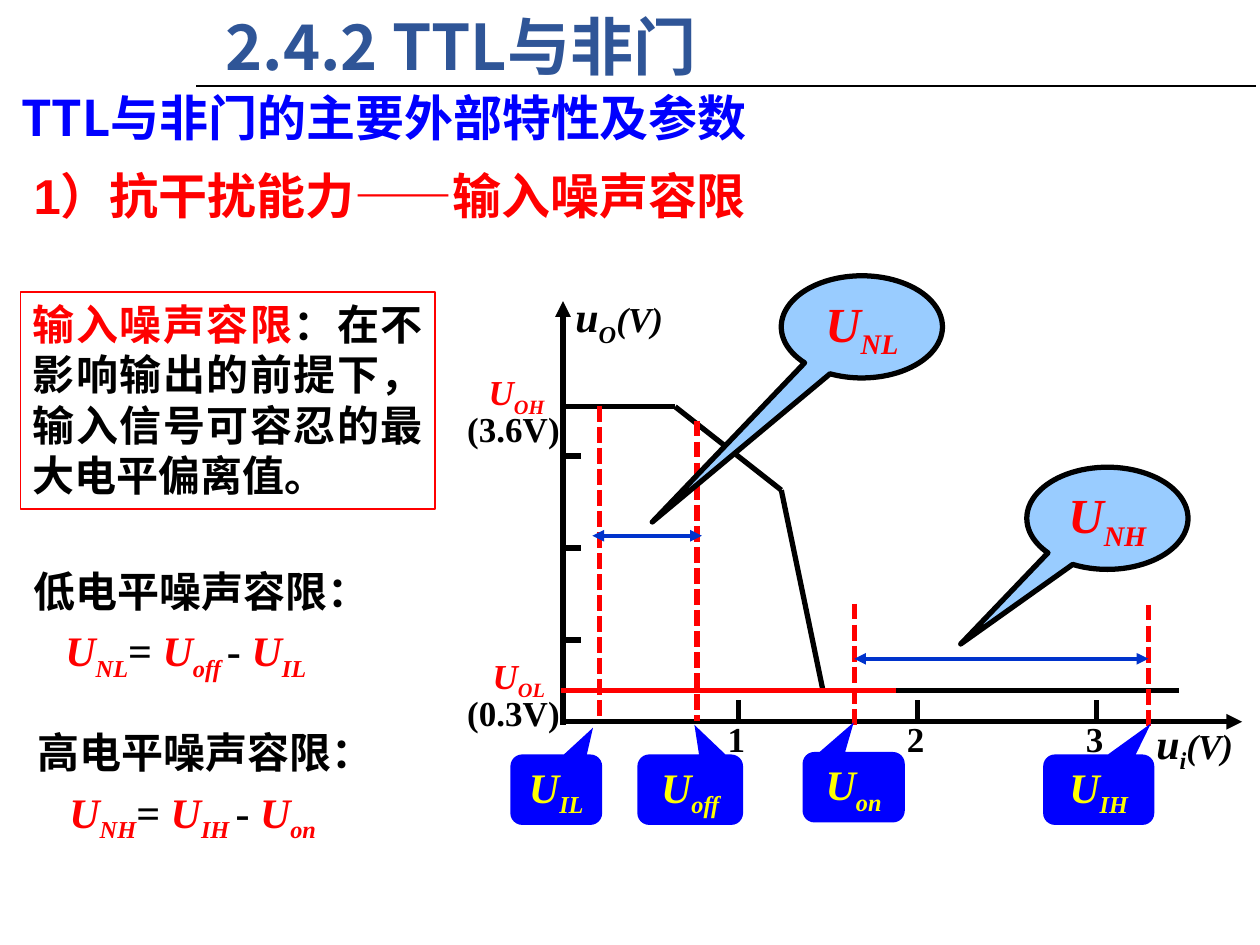
from lxml import etree
from pptx import Presentation
from pptx.dml.color import RGBColor
from pptx.enum.dml import MSO_LINE
from pptx.enum.shapes import MSO_CONNECTOR, MSO_SHAPE
from pptx.enum.text import MSO_ANCHOR, PP_ALIGN
from pptx.oxml.ns import qn
from pptx.util import Cm, Pt

BLACK = RGBColor(0x00, 0x00, 0x00)
RED = RGBColor(0xFF, 0x00, 0x00)
BLUE = RGBColor(0x00, 0x00, 0xFF)
ARROW_BLUE = RGBColor(0x00, 0x33, 0xCC)
TITLE_BLUE = RGBColor(0x2F, 0x55, 0x97)
LIGHT_BLUE = RGBColor(0x99, 0xCC, 0xFF)
YELLOW = RGBColor(0xFF, 0xFF, 0x00)
SANS = "Noto Sans CJK SC"
SERIF = "Times New Roman"
STRAIGHT = MSO_CONNECTOR.STRAIGHT
DOTTED = MSO_LINE.SQUARE_DOT
TOP, MIDDLE = MSO_ANCHOR.TOP, MSO_ANCHOR.MIDDLE
LEFT, CENTER, JUSTIFY = PP_ALIGN.LEFT, PP_ALIGN.CENTER, PP_ALIGN.JUSTIFY


def write(paragraph, pieces, size, font=SERIF, align=LEFT):
    """Add (text, colour, italic, size) pieces; text between underscores is subscript."""
    paragraph.alignment = align
    paragraph.font.name = font
    paragraph.font.size = Pt(size)
    paragraph.font.bold = True
    for text, color, italic, piece_size in pieces:
        for index, part in enumerate(text.split("_")):
            if not part:
                continue
            run = paragraph.add_run()
            run.text = part
            run.font.color.rgb = color
            if italic:
                run.font.italic = True
            if piece_size:
                run.font.size = Pt(piece_size)
            if index % 2:
                run.font._element.set("baseline", "-25000")


def add_line(x1, y1, x2, y2, color=BLACK, width=3, dash=None, arrows=()):
    line = slide.shapes.add_connector(STRAIGHT, Cm(x1), Cm(y1), Cm(x2), Cm(y2))
    line.line.color.rgb = color
    line.line.width = Pt(width)
    if dash:
        line.line.dash_style = dash
    for end in arrows:
        etree.SubElement(line.line._get_or_add_ln(), qn(f"a:{end}"), type="triangle")
    etree.SubElement(line._element.spPr, qn("a:effectLst"))


presentation = Presentation()
presentation.slide_width = Cm(25.4)
presentation.slide_height = Cm(19.05)
slide = presentation.slides.add_slide(presentation.slide_layouts[5])

# Headings
add_line(3.96, 1.73, 25.32, 1.73, width=1.25)
title = slide.shapes.title
title.left, title.top, title.width, title.height = Cm(4.29), Cm(0.03), Cm(21.03), Cm(1.8)
title.text_frame.vertical_anchor = TOP
write(title.text_frame.paragraphs[0], [("2.4.2 TTL与非门", TITLE_BLUE, False, None)], 36, SANS)

for left, top, width, height, text, color, font, anchor in [
    (0.18, 1.63, 23.62, 1.45, "TTL与非门的主要外部特性及参数", BLUE, SANS, TOP),
    (0.43, 3.1, 16.18, 1.68, "1）抗干扰能力——输入噪声容限", RED, "Arial", MIDDLE),
]:
    box = slide.shapes.add_textbox(Cm(left), Cm(top), Cm(width), Cm(height))
    box.text_frame.word_wrap = True
    box.text_frame.vertical_anchor = anchor
    write(box.text_frame.paragraphs[0], [(text, color, False, None)], 28, font)

# Axes with ticks
AXIS_X, AXIS_Y = 11.35, 14.55
add_line(AXIS_X, 14.61, AXIS_X, 6.07, arrows=["tailEnd"])
add_line(11.3, AXIS_Y, 25.04, AXIS_Y, arrows=["tailEnd"])
labels = [
    (AXIS_X, 5.74, 2.74, [("u_O_", BLACK, True, 24), ("(V)", BLACK, True, None)]),
    (23.06, 14.33, 2.16, [("u_i_", BLACK, True, 24), ("(V)", BLACK, True, None)]),
    (9.6, 7.34, 1.9, [("U_OH_", RED, True, None)]),
    (9.68, 13.06, 1.83, [("U_OL_", RED, True, None)]),
    (9.17, 8.1, 2.74, [("(3.6V)", BLACK, False, None)]),
    (9.17, 13.82, 2.54, [("(0.3V)", BLACK, False, None)]),
]
for step in range(3):
    tick_y = 12.9 - 1.855 * step
    tick_x = 14.88 + 3.61 * step
    add_line(AXIS_X, tick_y, AXIS_X + 0.36, tick_y)
    add_line(tick_x, AXIS_Y, tick_x, AXIS_Y - 0.43)
    labels.append((tick_x - 0.46, 14.33, 1.12, [(str(step + 1), BLACK, False, None)]))

for left, top, width, pieces in labels:
    box = slide.shapes.add_textbox(Cm(left), Cm(top), Cm(width), Cm(1.09))
    box.text_frame.word_wrap = True
    write(box.text_frame.paragraphs[0], pieces, 20)

# Transfer curve and low output level
curve = [(11.3, 8.2), (13.61, 8.2), (15.75, 9.88), (16.59, 13.92), (23.77, 13.92)]
for start, end in zip(curve, curve[1:]):
    add_line(*start, *end)
add_line(11.3, 13.92, 18.06, 13.92, RED)

# Input levels
for x, top, bottom in [(12.09, 8.18, 14.53), (14.05, 8.48, 14.53),
                       (17.22, 12.17, 14.63), (23.15, 12.19, 14.66)]:
    add_line(x, top, x, bottom, RED, dash=DOTTED)

# Noise margins
for start, end, y in [(11.94, 14.15, 10.8), (17.22, 23.15, 13.28)]:
    add_line(start, y, end, y, ARROW_BLUE, 2.25, arrows=["headEnd", "tailEnd"])

ROUND, ELLIPSE = MSO_SHAPE.ROUNDED_RECTANGULAR_CALLOUT, MSO_SHAPE.OVAL_CALLOUT
for kind, left, top, width, height, tip, text in [
    (ROUND, 10.29, 15.21, 1.85, 1.42, (0.4, -0.88), "U_IL_"),
    (ROUND, 12.85, 15.21, 2.13, 1.42, (0.04, -0.92), "U_off_"),
    (ROUND, 16.18, 15.16, 2.06, 1.42, (0, -0.92), "U_on_"),
    (ROUND, 21.03, 15.21, 2.24, 1.42, (0.47, -0.94), "U_IH_"),
    (ELLIPSE, 15.75, 5.56, 3.25, 2.06, (-1.3, 1.91), "U_NL_"),
    (ELLIPSE, 20.7, 9.42, 3.25, 2.06, (-0.91, 1.23), "U_NH_"),
]:
    callout = slide.shapes.add_shape(kind, Cm(left), Cm(top), Cm(width), Cm(height))
    callout.shadow.inherit = False
    callout.adjustments[0], callout.adjustments[1] = tip
    callout.fill.solid()
    callout.text_frame.word_wrap = True
    callout.text_frame.vertical_anchor = MIDDLE
    if kind == ROUND:
        callout.fill.fore_color.rgb = BLUE
        callout.line.fill.background()
        color, size = YELLOW, 24
    else:
        callout.fill.fore_color.rgb = LIGHT_BLUE
        callout.line.color.rgb = BLACK
        callout.line.width = Pt(3)
        color, size = RED, 28
    write(callout.text_frame.paragraphs[0], [(text, color, True, None)], size, align=CENTER)

# Definition and formulas
definition = slide.shapes.add_shape(MSO_SHAPE.RECTANGLE, Cm(0.41), Cm(5.89), Cm(8.36), Cm(4.37))
definition.shadow.inherit = False
definition.fill.background()
definition.line.color.rgb = RED
definition.line.width = Pt(0.75)
definition.text_frame.word_wrap = True
definition.text_frame.vertical_anchor = TOP
write(definition.text_frame.paragraphs[0],
      [("输入噪声容限", RED, False, None),
       ("：在不影响输出的前提下，输入信号可容忍的最大电平偏离值。", BLACK, False, None)],
      24, SANS, JUSTIFY)

for left, top, heading, margin, minuend, subtrahend in [
    (0.43, 11.28, "低电平噪声容限：", "U_NL_", "U_off _", "U_IL_"),
    (0.51, 14.53, "高电平噪声容限：", "U_NH_", "U_IH _", "U_on_"),
]:
    box = slide.shapes.add_textbox(Cm(left), Cm(top), Cm(8.5), Cm(2.51))
    box.text_frame.word_wrap = True
    write(box.text_frame.paragraphs[0], [(heading, BLACK, False, None)], 24, SANS)
    formula = box.text_frame.add_paragraph()
    formula.space_before = Pt(5)
    formula._p.get_or_add_pPr().set("marL", str(Cm(0.64)))
    write(formula, [(margin, RED, True, None), ("= ", BLACK, False, None),
                    (minuend, RED, True, None), ("- ", BLACK, False, None),
                    (subtrahend, RED, True, None)], 24)

presentation.save("out.pptx")
